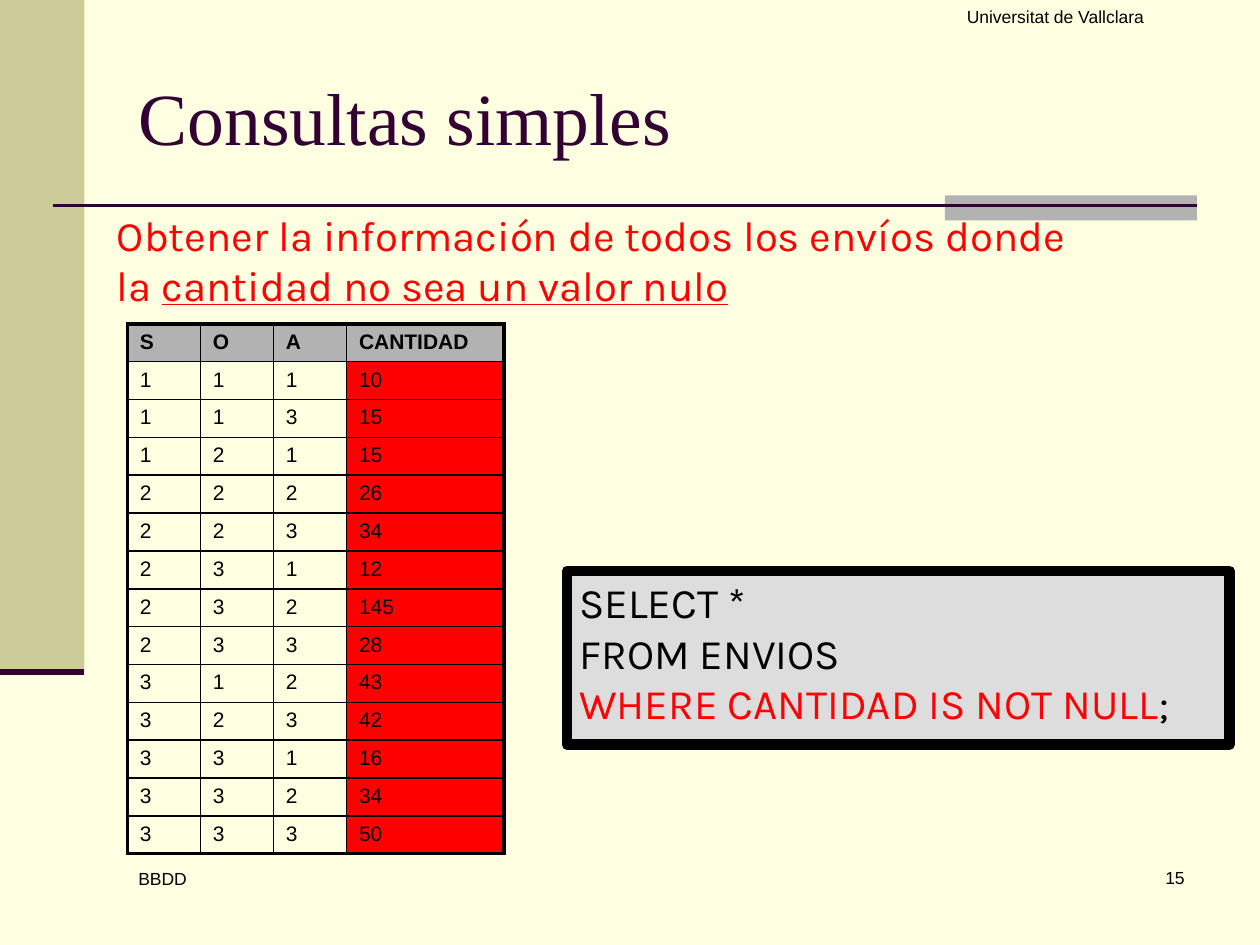
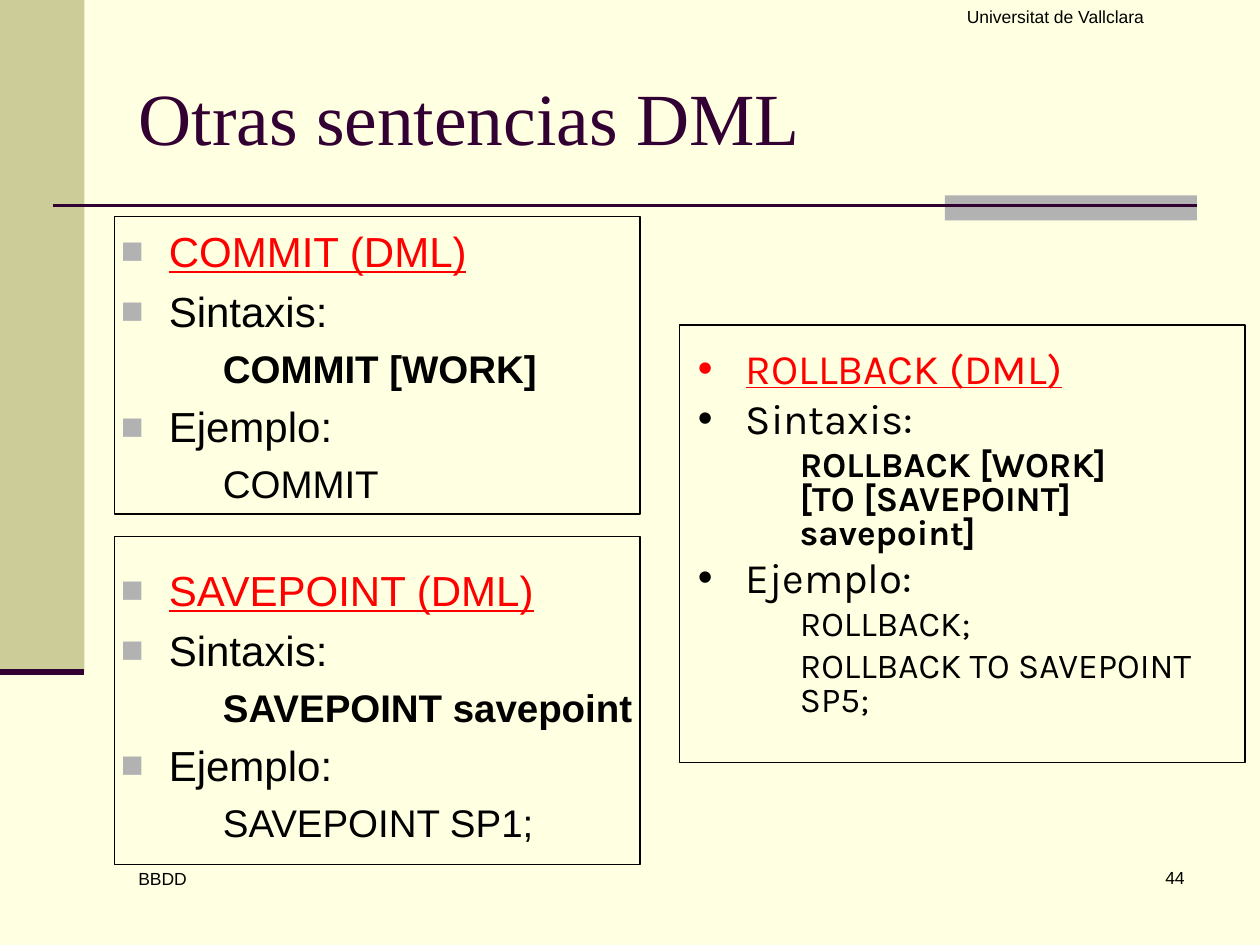
from lxml import etree
from pptx import Presentation
from pptx.dml.color import RGBColor
from pptx.enum import shapes, text
from pptx.oxml.ns import qn
from pptx.util import Inches, Pt

# ---- Content ----
UNIVERSITY, COURSE = "Universitat de Vallclara", "BBDD"

QUERY_TITLE, QUERY_PAGE = "Consultas simples", "15"
QUESTION = ("Obtener la información de todos los envíos donde la ",
            "cantidad no sea un valor nulo")
SQL = ["SELECT *", "FROM ENVIOS", ("WHERE CANTIDAD IS NOT NULL", ";")]
SHIPMENTS = [
    ("S", "O", "A", "CANTIDAD"),
    (1, 1, 1, 10), (1, 1, 3, 15), (1, 2, 1, 15), (2, 2, 2, 26), (2, 2, 3, 34),
    (2, 3, 1, 12), (2, 3, 2, 145), (2, 3, 3, 28), (3, 1, 2, 43), (3, 2, 3, 42),
    (3, 3, 1, 16), (3, 3, 2, 34), (3, 3, 3, 50),
]

DML_TITLE, DML_PAGE = "Otras sentencias DML", "44"
# each statement: name, syntax, examples
COMMIT = ("COMMIT (DML)", "COMMIT [WORK]", ["COMMIT"])
SAVEPOINT = ("SAVEPOINT (DML)", "SAVEPOINT savepoint", ["SAVEPOINT SP1;"])
ROLLBACK = ("ROLLBACK (DML)", "ROLLBACK [WORK]\n[TO [SAVEPOINT] savepoint]",
            ["ROLLBACK;", "ROLLBACK TO SAVEPOINT SP5;"])
FRAMES = [(0.91, 1.72, 4.17, 2.36), (5.39, 2.58, 4.49, 3.47),
          (0.91, 4.26, 4.17, 2.6)]

# ---- Shared look ----
CREAM, OLIVE, GREY, PALE = "FFFFE1", "CCCC99", "B2B2B2", "DDDDDD"
PLUM, RED, BLACK = "330033", "FF0000", "000000"
SMALL = dict(name="Arial", size=10, color=BLACK)
TITLE = dict(name="Times New Roman", size=42, color=PLUM)
CODE = dict(name="Karla", size=24, color=BLACK)
COLUMNS, ROW_HEIGHT = (0.58, 0.58, 0.58, 1.25), 0.3
SPACE_BEFORE = 0.23  # a fifth of a line, per point of text size


def rgb(color):
    return RGBColor.from_string(color)


def place(sp, box):
    for name, value in zip(("left", "top", "width", "height"), box):
        setattr(sp, name, Inches(value))


def write(p, content, fmt):
    """Add text to a paragraph; a line feed becomes a line break."""
    for i, line in enumerate(content.split("\n")):
        if i:
            p.add_line_break()
        r = p.add_run()
        r.text = line
        for name, value in fmt.items():
            if name == "color":
                r.font.color.rgb = rgb(value)
            else:
                setattr(r.font, name, Pt(value) if name == "size" else value)


def add_text(s, box, parts, align=text.PP_ALIGN.LEFT):
    tf = s.shapes.add_textbox(*map(Inches, box)).text_frame
    tf.word_wrap = True
    p = tf.paragraphs[0]
    p.alignment = align
    for content, fmt in parts:
        write(p, content, fmt)


def add_rect(s, box, fill=None, line=None, width=0.75):
    sp = s.shapes.add_shape(shapes.MSO_SHAPE.RECTANGLE, *map(Inches, box))
    sp.shadow.inherit = False
    for part, color in ((sp.fill, fill), (sp.line.fill, line)):
        if color:
            part.solid()
            part.fore_color.rgb = rgb(color)
        else:
            part.background()
    if line:
        sp.line.width = Pt(width)
    return sp


def add_line(s, ends, width):
    line = s.shapes.add_connector(shapes.MSO_CONNECTOR.STRAIGHT,
                                  *map(Inches, ends))
    line.line.color.rgb = rgb(PLUM)
    line.line.width = Pt(width)
    etree.SubElement(line._element.spPr, qn("a:effectLst"))


def add_slide(prs, layout, title, page):
    """Slide with side band, title rule, title, header and footer."""
    s = prs.slides.add_slide(prs.slide_layouts[layout])
    add_rect(s, (0, 0, 0.67, 5.33), OLIVE)
    add_rect(s, (7.5, 1.55, 2, 0.2), GREY)
    add_line(s, (0.42, 1.63, 9.5, 1.63), 1.5)
    add_line(s, (0, 5.33, 0.67, 5.33), 3.5)
    place(s.shapes.title, (1, 0.3, 8.5, 1.25))
    tf = s.shapes.title.text_frame
    tf.vertical_anchor = text.MSO_ANCHOR.MIDDLE
    tf.auto_size = text.MSO_AUTO_SIZE.NONE
    tf.paragraphs[0].alignment = text.PP_ALIGN.LEFT
    write(tf.paragraphs[0], title, TITLE)
    align = text.PP_ALIGN
    add_text(s, (7.42, 6.83, 2.08, 0.5), [(page, SMALL)], align.RIGHT)
    add_text(s, (6.75, 0, 3.25, 0.5), [(UNIVERSITY, SMALL)], align.CENTER)
    add_text(s, (1, 6.84, 2.17, 0.5), [(COURSE, SMALL)])
    return s


def set_borders(cell, widths):
    """Black cell borders; widths run left, right, top, bottom."""
    tcPr = cell._tc.get_or_add_tcPr()
    for i, (side, width) in enumerate(zip("LRTB", widths)):
        ln = etree.Element(qn(f"a:ln{side}"), w=str(Pt(width)))
        fill = etree.SubElement(ln, qn("a:solidFill"))
        etree.SubElement(fill, qn("a:srgbClr"), val=BLACK)
        tcPr.insert(i, ln)


def add_shipments(s):
    n_rows, n_cols = len(SHIPMENTS), len(COLUMNS)
    box = (1.01, 2.57, sum(COLUMNS), n_rows * ROW_HEIGHT)
    table = s.shapes.add_table(n_rows, n_cols, *map(Inches, box)).table
    table.first_row = table.horz_banding = False
    for column, width in zip(table.columns, COLUMNS):
        column.width = Inches(width)
    for i, values in enumerate(SHIPMENTS):
        table.rows[i].height = Inches(ROW_HEIGHT)
        for j, value in enumerate(values):
            cell = table.cell(i, j)
            write(cell.text_frame.paragraphs[0], str(value),
                  dict(name="Arial", size=12, color=BLACK, bold=i == 0))
            fill = GREY if i == 0 else RED if j == n_cols - 1 else None
            if fill:
                cell.fill.solid()
                cell.fill.fore_color.rgb = rgb(fill)
            else:
                cell.fill.background()
            outer = (j == 0, j == n_cols - 1, i == 0, i == n_rows - 1)
            set_borders(cell, [2.25 if edge else 1 for edge in outer])


def set_bullet(p, char, color=None, size=100):
    """Hanging bullet, or a plain indented line when char is None."""
    pPr = p._p.get_or_add_pPr()
    pPr.set("marL", str(Inches(0.38 if char else 0.81)))
    pPr.set("indent", str(Inches(-0.38 if char else 0)))
    if not char:
        etree.SubElement(pPr, qn("a:buNone"))
        return
    if color:
        clr = etree.SubElement(pPr, qn("a:buClr"))
        etree.SubElement(clr, qn("a:srgbClr"), val=color)
    etree.SubElement(pPr, qn("a:buSzPct"), val=str(size * 1000))
    etree.SubElement(pPr, qn("a:buFont"), typeface="Arial")
    etree.SubElement(pPr, qn("a:buChar"), char=char)


def add_statements(tf, statements, font, detail_size, bullet,
                   spacing=1.0, gap=0):
    tf.word_wrap = True
    tf.auto_size = text.MSO_AUTO_SIZE.NONE
    first = True
    for name, syntax, examples in statements:
        head = dict(name=font, size=24, color=BLACK, bold=False)
        detail = dict(head, size=detail_size)
        lines = [(name, dict(head, color=RED, underline=True), bullet),
                 ("Sintaxis:", head, bullet),
                 (syntax, dict(detail, bold=True), (None,)),
                 ("Ejemplo:", head, bullet)]
        lines += [(example, detail, (None,)) for example in examples]
        for i, (content, fmt, mark) in enumerate(lines):
            p = tf.paragraphs[0] if first else tf.add_paragraph()
            before = fmt["size"] * SPACE_BEFORE + (gap if i == 0 else 0)
            p.space_before = Pt(0 if first else before)
            p.line_spacing = spacing
            p.level = 0 if mark[0] else 1
            set_bullet(p, *mark)
            write(p, content, fmt)
            first = False


def build_query_slide(prs):
    s = add_slide(prs, 5, QUERY_TITLE, QUERY_PAGE)
    # SQL box
    tf = add_rect(s, (4.5, 4.53, 5.26, 1.38), PALE, BLACK, 6).text_frame
    tf.word_wrap = True
    tf.vertical_anchor = text.MSO_ANCHOR.TOP
    for i, line in enumerate(SQL):
        p = tf.add_paragraph() if i else tf.paragraphs[0]
        p.alignment = text.PP_ALIGN.LEFT
        if isinstance(line, tuple):
            condition, line = line
            write(p, condition, dict(CODE, color=RED))
        write(p, line, CODE)
    # Table and question
    add_shipments(s)
    red = dict(CODE, color=RED)
    add_text(s, (0.83, 1.61, 7.94, 0.9),
             [(QUESTION[0], red), (QUESTION[1], dict(red, underline=True))])


def build_dml_slide(prs):
    s = add_slide(prs, 1, DML_TITLE, DML_PAGE)
    body = s.placeholders[1]
    place(body, (0.86, 1.74, 4.35, 5.04))
    add_statements(body.text_frame, [COMMIT, SAVEPOINT], "Arial", 22,
                   ("■", GREY, 90), gap=27.6)
    box = s.shapes.add_textbox(*map(Inches, (5.44, 2.75, 4.35, 3.46)))
    add_statements(box.text_frame, [ROLLBACK], "Karla", 20, ("•",), 0.8)
    for frame in FRAMES:
        add_rect(s, frame, line=BLACK)


def main():
    prs = Presentation()
    prs.slide_width, prs.slide_height = Inches(10), Inches(7.5)
    background = prs.slide_master.background.fill
    background.solid()
    background.fore_color.rgb = rgb(CREAM)
    build_query_slide(prs)
    build_dml_slide(prs)
    prs.save("out.pptx")


if __name__ == "__main__":
    main()
